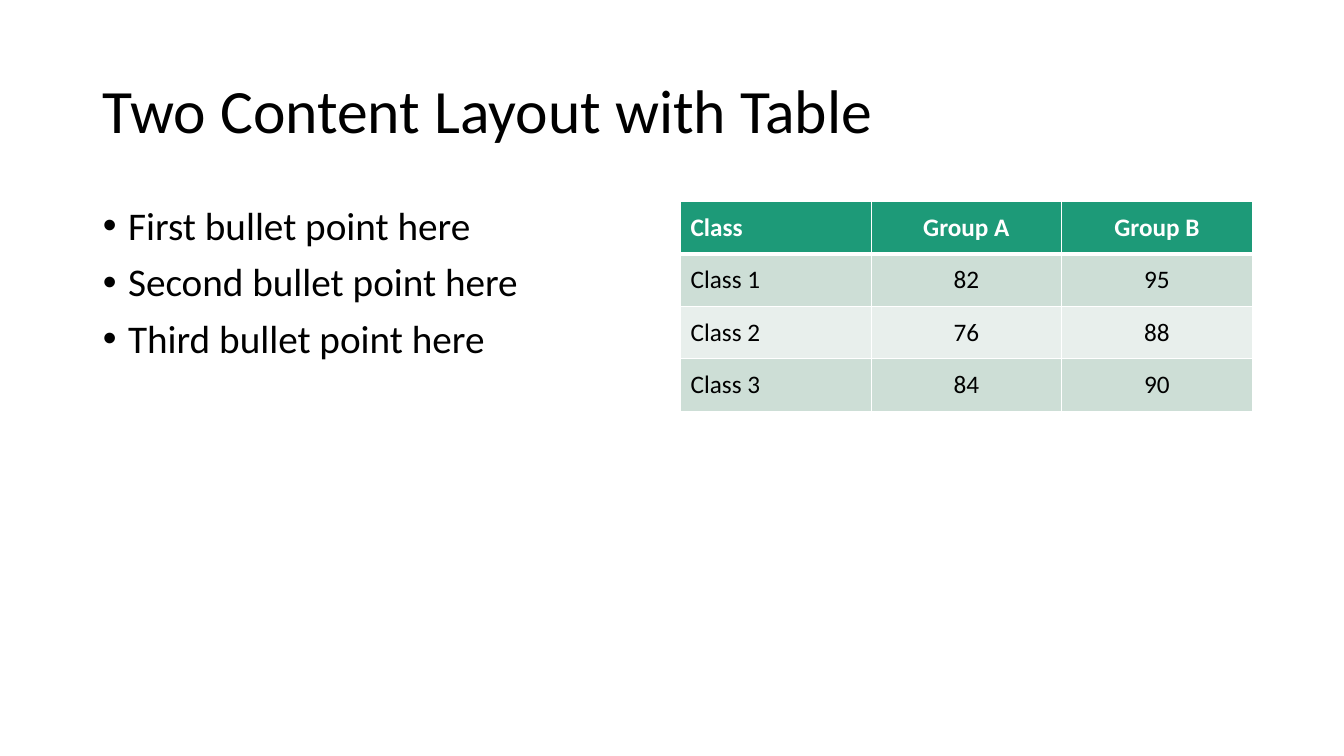
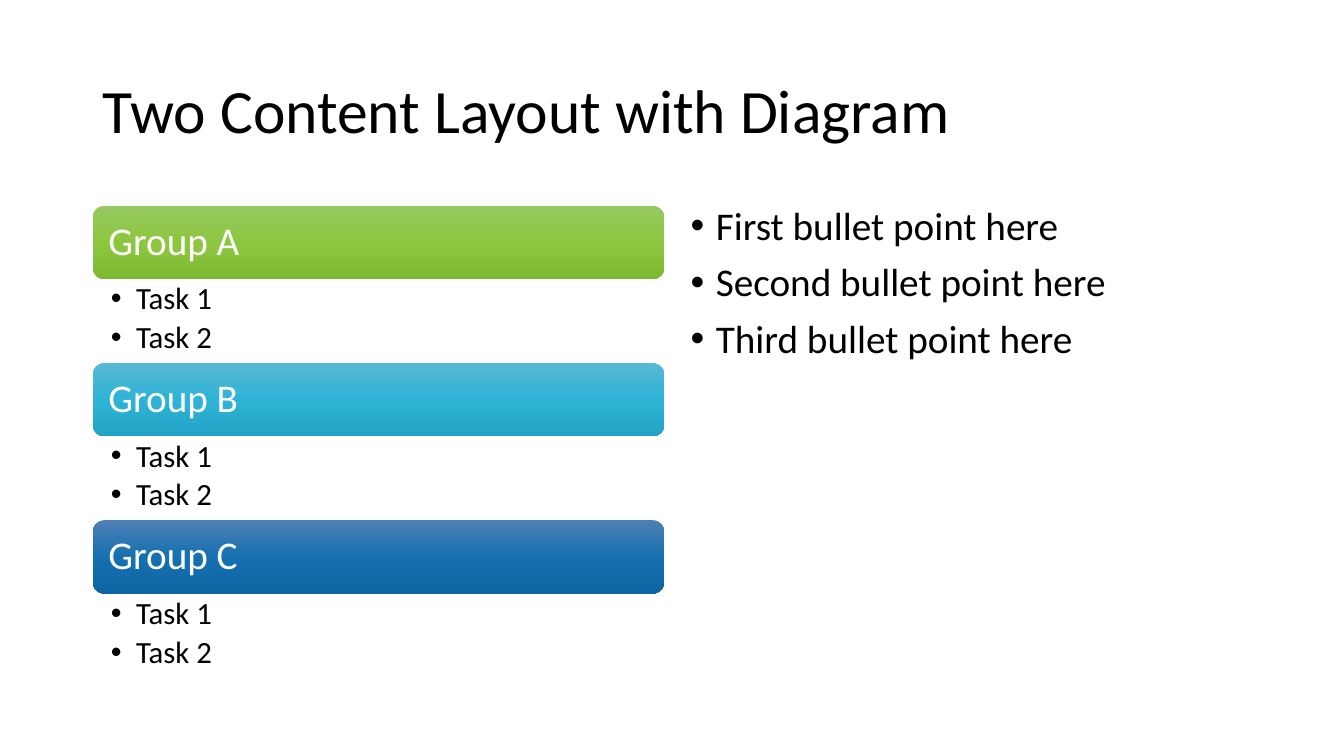
from dataclasses import dataclass
from pptx import Presentation
from pptx.dml.color import RGBColor as RGB
from pptx.enum.shapes import MSO_SHAPE as Shape
from pptx.enum.text import MSO_ANCHOR as Anchor, MSO_AUTO_SIZE as Auto, PP_ALIGN as Align
from pptx.oxml import parse_xml
from pptx.oxml.ns import nsdecls
from pptx.util import Pt

TITLES = ["Two Content Layout with Table", "Two Content Layout with Diagram"]
POINTS = ["First bullet point here", "Second bullet point here", "Third bullet point here"]
SCORES = [
    ("Class", "Group A", "Group B"),
    ("Class 1", "82", "95"),
    ("Class 2", "76", "88"),
    ("Class 3", "84", "90"),
]
TASKS = ["Task 1", "Task 2"]
GROUPS = [
    ("Group A", ("98C862", "8CC73F", "7DB831")),
    ("Group B", ("59B8D4", "2EB3D6", "21A4C6")),
    ("Group C", ("4E80B5", "1670B0", "0D65A3")),
]


@dataclass(frozen=True)
class Theme:
    font: str = "Calibri"
    ink: str = "000000"
    white: str = "FFFFFF"
    head: str = "1D9A78"
    bands: tuple = ("E8EFEC", "CDDED6")
    title: int = 44
    body: int = 28
    task: int = 22
    cell: int = 18


THEME = Theme()
LEFT, RIGHT, TOP = 92, 675, 200
WIDE, TALL = 567, 476
ROW = 52
CARD, LIST, PITCH = 73, 82, 156


def px(n):
    return n * 9144


def place(shape, *box):
    shape.left, shape.top, shape.width, shape.height = map(px, box)


def style(para, size, color=THEME.ink, bold=False, align=Align.LEFT, lead=0.9):
    para.alignment = align
    para.line_spacing = lead
    for run in para.runs:
        font = run.font
        font.name, font.size, font.bold = THEME.font, Pt(size), bold
        font.color.rgb = RGB.from_string(color)


def bullets(frame, items, size, before=0, after=0):
    frame.text = "\n".join(items)
    for i, para in enumerate(frame.paragraphs):
        props = para._p.get_or_add_pPr()
        props.set("marL", str(px(25)))
        props.set("indent", str(px(-25)))
        props.append(parse_xml(f'<a:buFont {nsdecls("a")} typeface="Arial"/>'))
        props.append(parse_xml(f'<a:buChar {nsdecls("a")} char="•"/>'))
        para.space_before = Pt(before if i else 0)
        para.space_after = Pt(after)
        style(para, size)


def inset(frame, left, top, right, bottom):
    frame.margin_left, frame.margin_top = px(left), px(top)
    frame.margin_right, frame.margin_bottom = px(right), px(bottom)


def add_page(deck, title, left):
    page = deck.slides.add_slide(deck.slide_layouts[1])
    head, body = page.placeholders
    place(head, LEFT, 40, 1150, 145)
    head.text_frame.text = title
    head.text_frame.vertical_anchor = Anchor.MIDDLE
    style(head.text_frame.paragraphs[0], THEME.title)
    place(body, left, TOP, WIDE, TALL)
    bullets(body.text_frame, POINTS, THEME.body, before=10)
    for shape in (head, body):
        shape.text_frame.auto_size = Auto.NONE
    return page


def border(cell, side, width):
    cell._tc.get_or_add_tcPr().append(parse_xml(
        f'<a:ln{side} {nsdecls("a")} w="{Pt(width)}"><a:solidFill>'
        f'<a:srgbClr val="{THEME.white}"/></a:solidFill></a:ln{side}>'))


def add_scores(page):
    rows, cols = len(SCORES), len(SCORES[0])
    grid = page.shapes.add_table(
        rows, cols, px(RIGHT), px(TOP), px(WIDE), px(ROW * rows)).table
    for r, record in enumerate(SCORES):
        top = r == 0
        for c, word in enumerate(record):
            cell = grid.cell(r, c)
            for side in "LRTB":
                heavy = (r, side) in ((0, "B"), (1, "T"))
                border(cell, side, 3 if heavy else 1)
            cell.fill.solid()
            cell.fill.fore_color.rgb = RGB.from_string(
                THEME.head if top else THEME.bands[r % 2])
            cell.vertical_anchor = Anchor.MIDDLE
            cell.text_frame.text = word
            style(cell.text_frame.paragraphs[0], THEME.cell,
                  THEME.white if top else THEME.ink, top,
                  Align.CENTER if c else Align.LEFT, 1.0)


def shade(shape, colors):
    stops = "".join(
        f'<a:gs pos="{i * 50000}"><a:srgbClr val="{color}"/></a:gs>'
        for i, color in enumerate(colors))
    shape.element.spPr.insert(2, parse_xml(
        f'<a:gradFill {nsdecls("a")} rotWithShape="1"><a:gsLst>{stops}</a:gsLst>'
        '<a:lin ang="5400000" scaled="0"/></a:gradFill>'))


def add_group(page, top, name, colors):
    card = page.shapes.add_shape(
        Shape.ROUNDED_RECTANGLE, px(LEFT), px(top), px(WIDE), px(CARD))
    card.shadow.inherit = False
    card.line.fill.background()
    shade(card, colors)
    frame = card.text_frame
    inset(frame, 12, 12, 12, 12)
    frame.vertical_anchor = Anchor.MIDDLE
    frame.text = name
    style(frame.paragraphs[0], THEME.body, THEME.white)
    note = page.shapes.add_textbox(px(LEFT), px(top + CARD), px(WIDE), px(LIST))
    note.text_frame.word_wrap = True
    inset(note.text_frame, 18, 4, 22, 4)
    bullets(note.text_frame, TASKS, THEME.task, after=4)


def main():
    deck = Presentation()
    deck.slide_width, deck.slide_height = px(1333), px(750)
    add_scores(add_page(deck, TITLES[0], LEFT))
    page = add_page(deck, TITLES[1], RIGHT)
    for i, (name, colors) in enumerate(GROUPS):
        add_group(page, TOP + 4 + i * PITCH, name, colors)
    deck.save("out.pptx")


if __name__ == "__main__":
    main()
